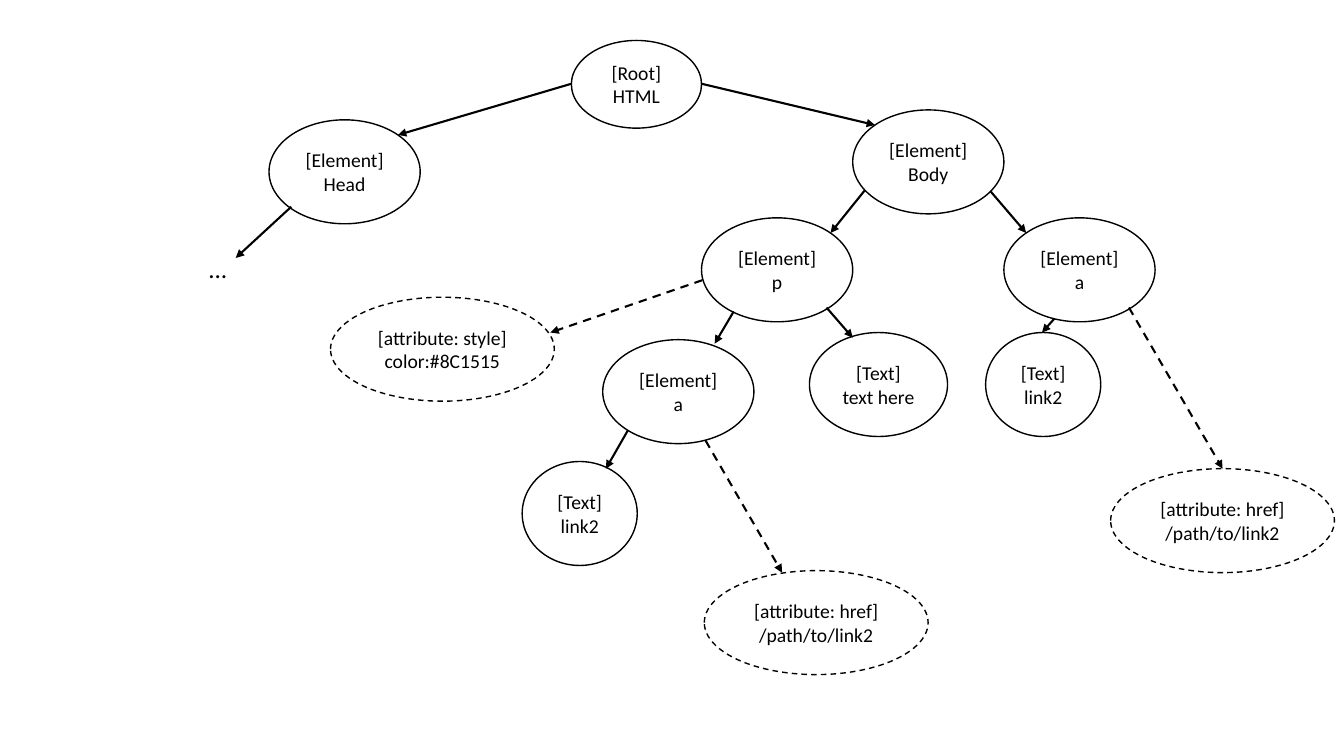
from dataclasses import dataclass

from lxml import etree
from pptx import Presentation
from pptx import util as u
from pptx.dml import color
from pptx.enum import dml, shapes, text
from pptx.oxml import ns


@dataclass(frozen=True)
class Theme:
    ink: color.RGBColor = color.RGBColor(0x00, 0x00, 0x00)
    paper: color.RGBColor = color.RGBColor(0xFF, 0xFF, 0xFF)
    font: str = "Calibri"
    node_size: u.Pt = u.Pt(14)
    more_size: u.Pt = u.Pt(18)
    outline: u.Pt = u.Pt(1)
    branch: u.Pt = u.Pt(1.5)


THEME = Theme()
NODE_HEIGHT = 2.62
ELEMENT, ATTRIBUTE, LINK_TEXT = 3.81, 5.64, 2.9  # node widths in cm

# kind, value, left, top, width, height
NODES = [
    ("[Root]", "HTML", 14.4, 1.02, 3.28, 2.21),
    ("[Element]", "Head", 6.78, 3.02, ELEMENT, NODE_HEIGHT),
    ("[Element]", "Body", 21.49, 2.77, ELEMENT, NODE_HEIGHT),
    ("[Element]", "p", 17.68, 5.49, ELEMENT, NODE_HEIGHT),
    ("[Element]", "a", 25.3, 5.49, ELEMENT, NODE_HEIGHT),
    ("[Text]", "text here", 20.4, 8.38, 3.48, NODE_HEIGHT),
    ("[Element]", "a", 15.19, 8.56, ELEMENT, NODE_HEIGHT),
    ("[Text]", "link2", 13.16, 11.63, LINK_TEXT, NODE_HEIGHT),
    ("[attribute: href]", "/path/to/link2", 17.75, 14.38, ATTRIBUTE, NODE_HEIGHT),
    ("[Text]", "link2", 24.84, 8.38, LINK_TEXT, NODE_HEIGHT),
    ("[attribute: style]", "color:#8C1515", 8.33, 7.49, ATTRIBUTE, NODE_HEIGHT),
    ("[attribute: href]", "/path/to/link2", 27.99, 11.81, ATTRIBUTE, NODE_HEIGHT),
]

# start x, start y, end x, end y
CHILD_BRANCHES = [
    (18.49, 7.85, 18.01, 8.66),
    (15.82, 10.85, 15.27, 11.81),
    (20.83, 7.75, 21.49, 8.51),
    (26.57, 8.03, 26.26, 8.38),
    (24.97, 4.83, 25.86, 5.87),
    (21.79, 4.8, 20.93, 5.87),
    (17.68, 2.11, 22.05, 3.15),
    (14.4, 2.11, 10.03, 3.4),
    (7.34, 5.21, 5.94, 6.5),
]
ATTRIBUTE_BRANCHES = [
    (28.45, 7.75, 30.81, 11.81),
    (17.78, 11.1, 19.71, 14.43),
    (17.7, 7.06, 13.87, 8.38),
]


def cm(*lengths):
    return [u.Cm(length) for length in lengths]


def add_run(paragraph, words, size):
    run = paragraph.add_run()
    run.text = words
    run.font.name = THEME.font
    run.font.size = size
    run.font.color.rgb = THEME.ink


def style_line(line, width, dashed):
    line.color.rgb = THEME.ink
    line.width = width
    if dashed:
        line.dash_style = dml.MSO_LINE.DASH


def add_node(slide, kind, value, *box):
    node = slide.shapes.add_shape(shapes.MSO_SHAPE.OVAL, *cm(*box))
    node.shadow.inherit = False
    node.fill.solid()
    node.fill.fore_color.rgb = THEME.paper
    style_line(node.line, THEME.outline, kind.startswith("[attribute"))
    frame = node.text_frame
    frame.word_wrap = True
    frame.vertical_anchor = text.MSO_ANCHOR.MIDDLE
    for paragraph, words in ((frame.paragraphs[0], kind), (frame.add_paragraph(), value)):
        paragraph.alignment = text.PP_ALIGN.CENTER
        add_run(paragraph, words, THEME.node_size)


def add_branch(slide, ends, dashed=False):
    branch = slide.shapes.add_connector(shapes.MSO_CONNECTOR.STRAIGHT, *cm(*ends))
    style_line(branch.line, THEME.branch, dashed)
    properties = branch._element.spPr
    outline = properties.find(ns.qn("a:ln"))
    etree.SubElement(outline, ns.qn("a:tailEnd"), type="triangle")
    etree.SubElement(properties, ns.qn("a:effectLst"))


def add_more_mark(slide):
    """Mark the subtree of Head that is left out."""
    frame = slide.shapes.add_textbox(*cm(5, 6.27, 0.99, 1.02)).text_frame
    frame.word_wrap = False
    frame.auto_size = text.MSO_AUTO_SIZE.SHAPE_TO_FIT_TEXT
    add_run(frame.paragraphs[0], "...", THEME.more_size)


def main():
    deck = Presentation()
    deck.slide_width, deck.slide_height = cm(33.87, 19.05)
    slide = deck.slides.add_slide(deck.slide_layouts[6])
    for node in NODES:
        add_node(slide, *node)
    for ends in CHILD_BRANCHES:
        add_branch(slide, ends)
    for ends in ATTRIBUTE_BRANCHES:
        add_branch(slide, ends, dashed=True)
    add_more_mark(slide)
    deck.save("out.pptx")


if __name__ == "__main__":
    main()
